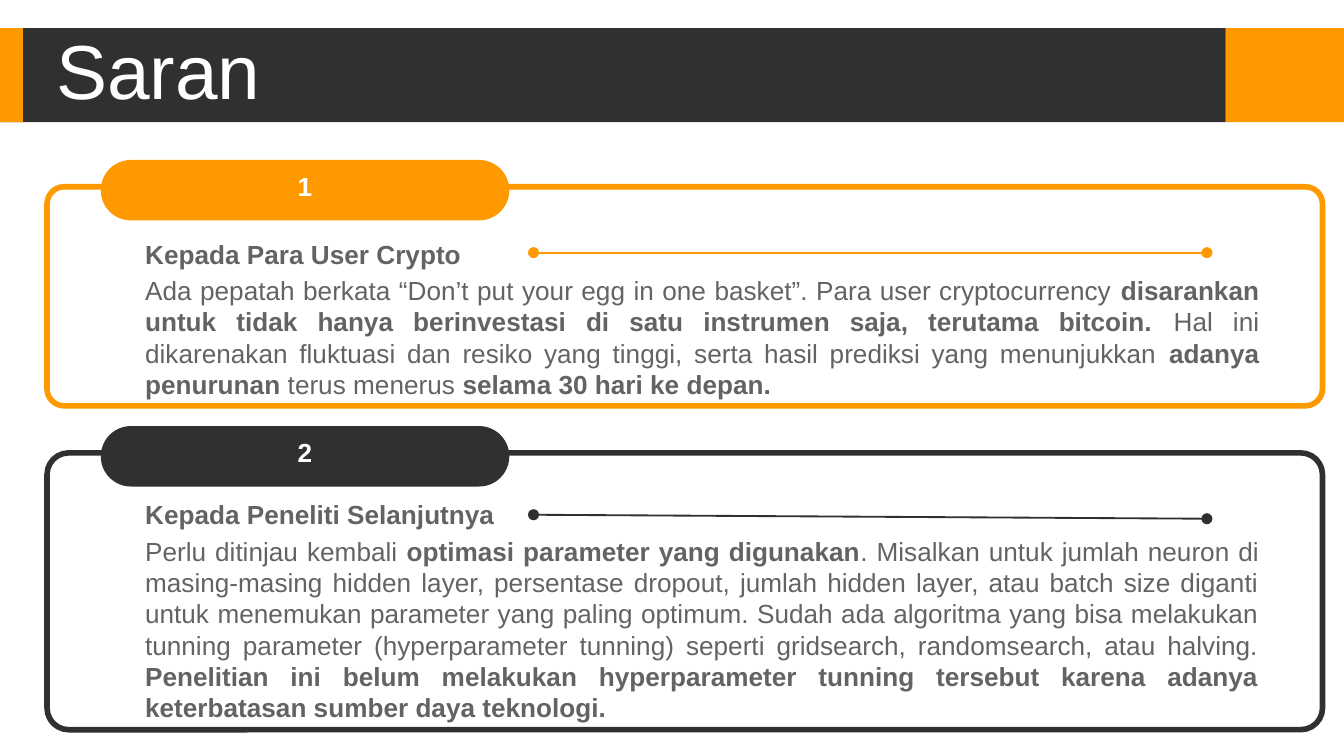
from lxml import etree
from pptx import Presentation
from pptx.dml.color import RGBColor
from pptx.enum.shapes import MSO_CONNECTOR, MSO_SHAPE
from pptx.enum.text import MSO_ANCHOR, MSO_AUTO_SIZE, PP_ALIGN
from pptx.oxml.ns import qn
from pptx.util import Inches, Pt

ORANGE, DARK, WHITE, GREY = "FE9900", "303030", "FFFFFF", "636363"
FONT = "Arial"
SLIDE_WIDTH = 10
SLIDE_HEIGHT = SLIDE_WIDTH * 9 / 16
TITLE = "Saran"

# Body runs are (text, bold); the rule is (start y, end y).
CARDS = [
    {
        "number": "1", "color": ORANGE, "top": 1.39, "height": 1.63,
        "heading_top": 1.73, "rule": (1.88, 1.88),
        "heading": "Kepada Para User Crypto",
        "body": [
            ("Ada pepatah berkata “Don’t put your egg in one basket”. "
             "Para user cryptocurrency ", False),
            ("disarankan untuk tidak hanya berinvestasi di satu instrumen saja, "
             "terutama bitcoin.", True),
            (" Hal ini dikarenakan fluktuasi dan resiko yang tinggi, serta hasil "
             "prediksi yang menunjukkan ", False),
            ("adanya penurunan", True),
            (" terus menerus ", False),
            ("selama 30 hari ke depan.", True),
        ],
    },
    {
        "number": "2", "color": DARK, "top": 3.37, "height": 2.06,
        "heading_top": 3.67, "rule": (3.83, 3.86),
        "heading": "Kepada Peneliti Selanjutnya",
        "body": [
            ("Perlu ditinjau kembali ", False),
            ("optimasi parameter yang digunakan", True),
            (". Misalkan untuk jumlah neuron di masing-masing hidden layer, "
             "persentase dropout, jumlah hidden layer, atau batch size diganti untuk "
             "menemukan parameter yang paling optimum. Sudah ada algoritma yang bisa "
             "melakukan tunning parameter (hyperparameter tunning) seperti "
             "gridsearch, randomsearch, atau halving. ", False),
            ("Penelitian ini belum melakukan hyperparameter tunning tersebut karena "
             "adanya keterbatasan sumber daya teknologi.", True),
        ],
    },
]


def rgb(value):
    return RGBColor.from_string(value)


def add_block(slide, kind, box, fill, line=None):
    """Add a flat filled shape, outlined only when a line colour is given."""
    shape = slide.shapes.add_shape(kind, *map(Inches, box))
    shape.shadow.inherit = False
    shape.fill.solid()
    shape.fill.fore_color.rgb = rgb(fill)
    if line:
        shape.line.color.rgb = rgb(line)
        shape.line.width = Pt(3)
    else:
        shape.line.fill.background()
    return shape


def write(shape, runs, color, size=14, align=PP_ALIGN.LEFT,
          anchor=MSO_ANCHOR.TOP, top_inset=0.04):
    frame = shape.text_frame
    frame.word_wrap = True
    frame.auto_size = MSO_AUTO_SIZE.NONE
    frame.vertical_anchor = anchor
    frame.margin_left = frame.margin_right = Inches(0.07)
    frame.margin_top, frame.margin_bottom = Inches(top_inset), Inches(0.04)
    paragraph = frame.paragraphs[0]
    paragraph.alignment = align
    for text, bold in runs:
        run = paragraph.add_run()
        run.text = text
        run.font.name, run.font.size, run.font.bold = FONT, Pt(size), bold
        run.font.color.rgb = rgb(color)
    return paragraph


def add_rule(slide, start_y, end_y, color):
    """Add a thin line with a dot at each end."""
    rule = slide.shapes.add_connector(
        MSO_CONNECTOR.STRAIGHT,
        Inches(3.97), Inches(start_y), Inches(8.98), Inches(end_y))
    rule.line.color.rgb = rgb(color)
    rule.line.width = Pt(1)
    outline = rule.line._get_or_add_ln()
    for end in ("a:headEnd", "a:tailEnd"):
        etree.SubElement(outline, qn(end), type="oval")
    etree.SubElement(rule._element.spPr, qn("a:effectLst"))


def add_header(slide):
    for left, width, color in ((9.12, 0.88, ORANGE), (0, 9.12, DARK), (0, 0.17, ORANGE)):
        add_block(slide, MSO_SHAPE.RECTANGLE, (left, 0.21, width, 0.7), color)
    title = slide.shapes.title
    title.left, title.top, title.width, title.height = map(Inches, (0.35, 0.26, 7.27, 0.59))
    paragraph = write(title, [(TITLE, False)], WHITE, size=41, anchor=MSO_ANCHOR.MIDDLE)
    paragraph.line_spacing = 0.9
    slide.shapes._spTree.append(title._element)  # bring above the bars


def add_card(slide, card):
    top, height, color = card["top"], card["height"], card["color"]
    panel = add_block(slide, MSO_SHAPE.ROUNDED_RECTANGLE, (0.35, top, 9.49, height),
                      WHITE, line=color)
    panel.adjustments[0] = 0.078
    panel_color = panel._element.spPr.find(qn("a:solidFill"))[0]
    etree.SubElement(panel_color, qn("a:alpha"), val="49000")

    pill = add_block(slide, MSO_SHAPE.ROUNDED_RECTANGLE, (0.75, top - 0.2, 3.04, 0.45), color)
    pill.adjustments[0] = 0.5
    write(pill, [(card["number"], True)], WHITE, align=PP_ALIGN.CENTER, top_inset=0.01)

    add_rule(slide, *card["rule"], color)

    heading_top = card["heading_top"]
    body_top = heading_top + 0.27
    heading = slide.shapes.add_textbox(
        Inches(1.01), Inches(heading_top), Inches(3.72), Inches(0.31))
    write(heading, [(card["heading"], True)], GREY)
    body = slide.shapes.add_textbox(
        Inches(1.01), Inches(body_top), Inches(8.43), Inches(top + height - body_top))
    write(body, card["body"], GREY, align=PP_ALIGN.JUSTIFY)


def main():
    presentation = Presentation()
    presentation.slide_width = Inches(SLIDE_WIDTH)
    presentation.slide_height = Inches(SLIDE_HEIGHT)
    slide = presentation.slides.add_slide(presentation.slide_layouts[5])
    add_header(slide)
    for card in CARDS:
        add_card(slide, card)
    presentation.save("out.pptx")


if __name__ == "__main__":
    main()
